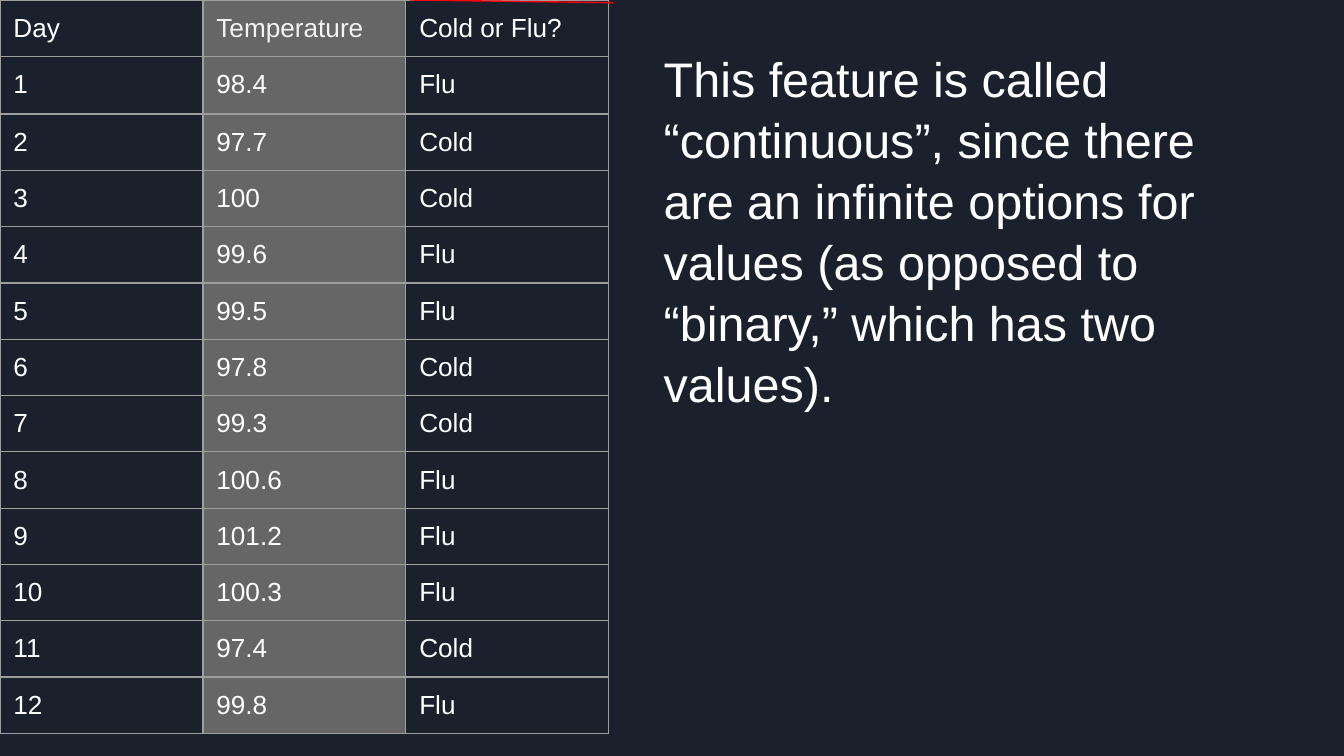
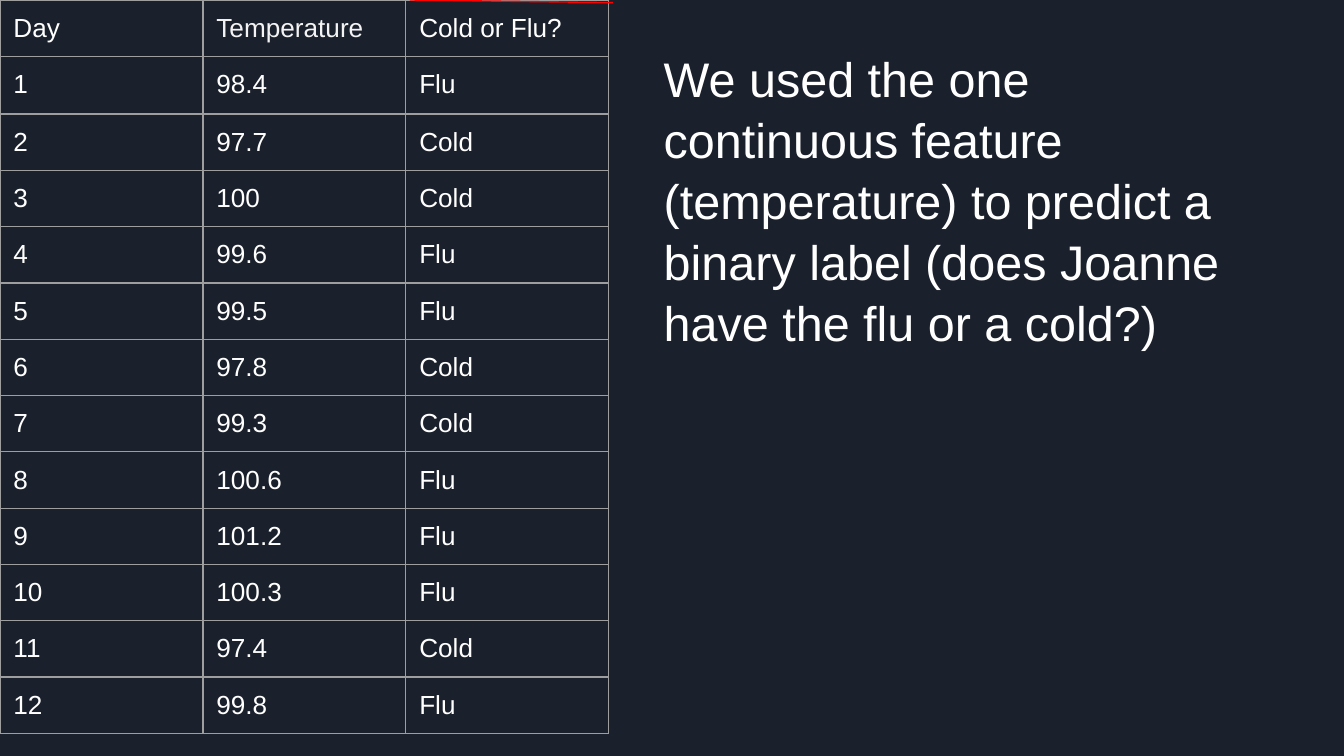
import pptx
import pptx.dml.color
import pptx.enum.shapes
import pptx.enum.text
import pptx.oxml
import pptx.oxml.ns
import pptx.util
from pptx.util import Inches

# Shared look
RGBColor = pptx.dml.color.RGBColor
NAVY = RGBColor(0x1B, 0x21, 0x2C)
WHITE = RGBColor(0xFF, 0xFF, 0xFF)
OFF_WHITE = RGBColor(0xF3, 0xF3, 0xF3)
GRAY = RGBColor(0x66, 0x66, 0x66)
BORDER = RGBColor(0x9E, 0x9E, 0x9E)
RED = RGBColor(0xFF, 0x00, 0x00)
FONT = "Arial"
LINE_WIDTH = pptx.util.Pt(0.75)
INSET = Inches(0.1)

# Table content
HEADERS = ("Day", "Temperature", "Cold or Flu?")
TEMPERATURES = ("98.4", "97.7", "100", "99.6", "99.5", "97.8",
                "99.3", "100.6", "101.2", "100.3", "97.4", "99.8")
ILLNESSES = ("Flu", "Cold", "Cold", "Flu", "Flu", "Cold",
             "Cold", "Flu", "Flu", "Flu", "Cold", "Flu")
TEMPERATURE_COLUMN = 1

# Explanation on each slide, and whether its temperature column is highlighted
SLIDES = (
    ("This feature is called “continuous”, since there are an infinite "
     "options for values (as opposed to “binary,” which has two values).",
     True),
    ("We used the one continuous feature (temperature) to predict a binary "
     "label (does Joanne have the flu or a cold?)", False),
)


def add_run(paragraph, text, size, color):
    run = paragraph.add_run()
    run.text = text
    run.font.name = FONT
    run.font.size = pptx.util.Pt(size)
    run.font.color.rgb = color


def set_insets(target):
    target.margin_left = target.margin_right = INSET
    target.margin_top = target.margin_bottom = INSET


def add_borders(cell):
    properties = cell._tc.get_or_add_tcPr()
    for side in ("lnL", "lnR", "lnT", "lnB"):
        properties.append(pptx.oxml.parse_xml(
            f'<a:{side} {pptx.oxml.ns.nsdecls("a")} w="{LINE_WIDTH}">'
            f'<a:solidFill><a:srgbClr val="{BORDER}"/></a:solidFill>'
            f'</a:{side}>'))


def add_temperature_table(slide, highlighted):
    days = [str(day) for day in range(1, len(TEMPERATURES) + 1)]
    rows = [HEADERS, *zip(days, TEMPERATURES, ILLNESSES)]
    table = slide.shapes.add_table(
        len(rows), len(HEADERS), 0, 0, Inches(4.53), Inches(5.11)).table
    table.first_row = table.horz_banding = False
    for column in table.columns:
        column.width = Inches(1.51)
    for row_index, values in enumerate(rows):
        table.rows[row_index].height = Inches(0.43 if row_index == 1 else 0.39)
        for column_index, value in enumerate(values):
            cell = table.cell(row_index, column_index)
            in_temperature = column_index == TEMPERATURE_COLUMN
            set_insets(cell)
            add_borders(cell)
            if highlighted and in_temperature:
                cell.fill.solid()
                cell.fill.fore_color.rgb = GRAY
            else:
                cell.fill.background()
            color = OFF_WHITE if in_temperature and row_index == 0 else WHITE
            add_run(cell.text_frame.paragraphs[0], value, 14, color)


def add_explanation(slide, text):
    box = slide.shapes.add_textbox(
        Inches(4.84), Inches(0.24), Inches(4.67), Inches(4.99))
    frame = box.text_frame
    frame.word_wrap = True
    frame.vertical_anchor = pptx.enum.text.MSO_ANCHOR.TOP
    set_insets(frame)
    paragraph = frame.paragraphs[0]
    paragraph.line_spacing = 1.05
    add_run(paragraph, text, 26, WHITE)


def add_red_line(slide):
    connector = slide.shapes.add_connector(
        pptx.enum.shapes.MSO_CONNECTOR.STRAIGHT,
        Inches(3.05), 0, Inches(4.56), Inches(0.02))
    connector.line.color.rgb = RED
    connector.line.width = LINE_WIDTH
    connector._element.spPr.append(pptx.oxml.parse_xml(
        f'<a:effectLst {pptx.oxml.ns.nsdecls("a")}/>'))


def main():
    presentation = pptx.Presentation()
    presentation.slide_width = Inches(10)
    presentation.slide_height = Inches(5.625)

    # Shared background
    background = presentation.slide_master.background.fill
    background.solid()
    background.fore_color.rgb = NAVY

    for text, highlighted in SLIDES:
        slide = presentation.slides.add_slide(presentation.slide_layouts[6])
        add_temperature_table(slide, highlighted)
        add_explanation(slide, text)
        add_red_line(slide)

    presentation.save("out.pptx")


main()
